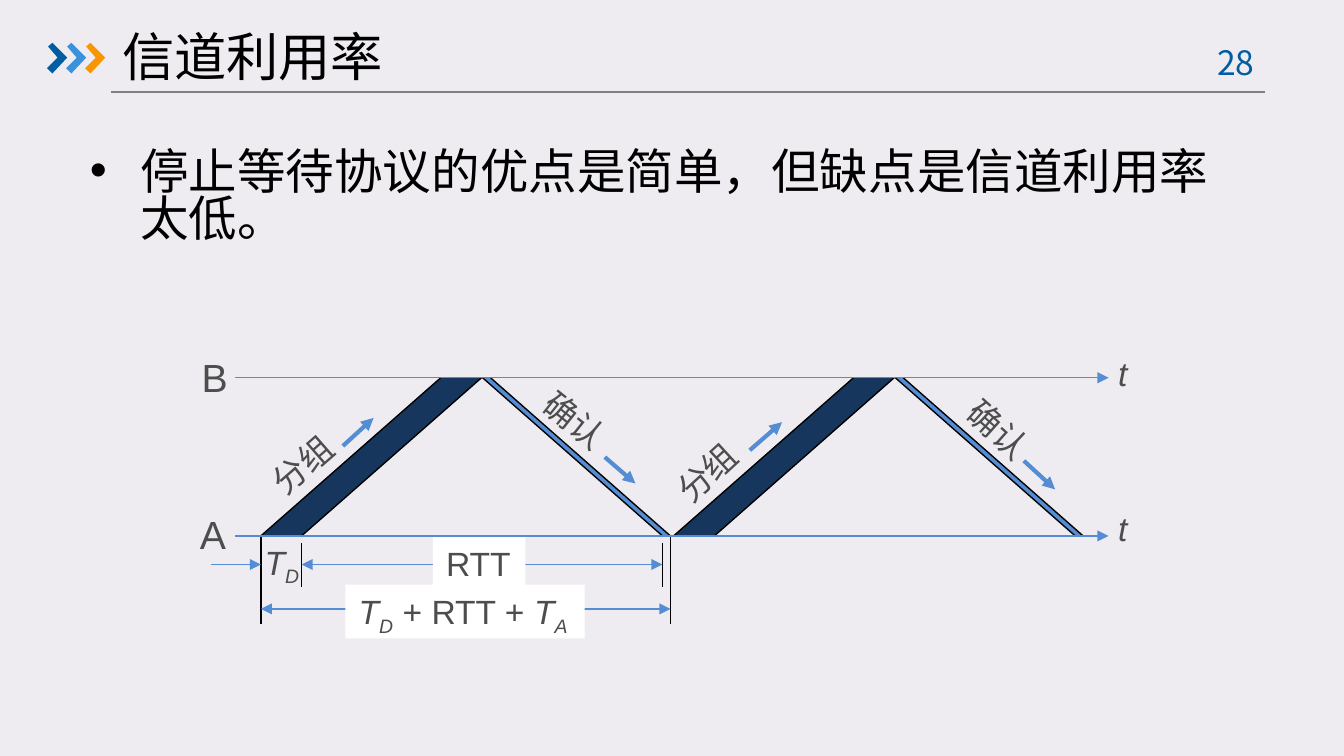
from lxml.etree import SubElement
from pptx import Presentation
from pptx.dml.color import RGBColor
from pptx.enum.shapes import MSO_CONNECTOR as Connector
from pptx.enum.text import MSO_ANCHOR as Anchor, PP_ALIGN as Align
from pptx.oxml.ns import qn
from pptx.util import Cm, Pt

BACKGROUND = RGBColor(0xEE, 0xEC, 0xF1)
WHITE = RGBColor(0xFF, 0xFF, 0xFF)
BLACK = RGBColor(0, 0, 0)
RULE = RGBColor(0x80, 0x80, 0x80)
LABEL = RGBColor(0x4D, 0x4D, 0x4D)
NAVY = RGBColor(0x17, 0x36, 0x5D)
BLUE = RGBColor(0x54, 0x8D, 0xD4)
DEEP_BLUE = RGBColor(0x00, 0x5D, 0xA2)
SKY_BLUE = RGBColor(0x39, 0x92, 0xDB)
ORANGE = RGBColor(0xF7, 0x96, 0x00)
CJK, LATIN = "Noto Sans CJK SC", "Arial"

TITLE = "信道利用率"
BODY = "停止等待协议的优点是简单，但缺点是信道利用率太低。"
PAGE_NUMBER = "28 "

# All lengths are in centimetres.
CHEVRON = [(0.02, 0.07), (0.1, 0), (0.38, 0.28), (0.1, 0.58), (0, 0.48), (0.2, 0.28)]
CHEVRON_COLOURS = [DEEP_BLUE, SKY_BLUE, ORANGE]

B_LINE, A_LINE = 7.14, 10.13
CYCLE_STARTS = [4.93, 12.73]
TRAVEL = 3.4
PACKET_WIDTH, ACK_WIDTH = 0.77, 0.15
ACK_OFFSET = 4.19
ACK_END = CYCLE_STARTS[0] + ACK_OFFSET + TRAVEL
CYCLE_END = ACK_END + ACK_WIDTH
PACKET_END = CYCLE_STARTS[0] + PACKET_WIDTH

# Marks after a piece of text: i = italic, s = subscript
T_D = [("T", "i"), ("D", "is")]
T_A = [("T", "i"), ("A", "is")]

# pieces, left, top, width, height, size, rotation, fill
LABELS = [
    (T_D, 4.75, 10.11, 1.22, 1.02, 18, 0, None),
    ([("RTT", "")], 8.18, 10.13, 1.75, 1.02, 18, 0, WHITE),
    (T_D + [(" + RTT + ", "")] + T_A, 6.53, 11.05, 4.52, 1.02, 18, 0, WHITE),
    ([("A", "")], 3.53, 9.53, 1.02, 1.14, 21, 0, None),
    ([("B", "")], 3.56, 6.55, 1.02, 1.14, 21, 0, None),
    ([("t", "i")], 20.88, 6.55, 0.69, 1.02, 18, 0, None),
    ([("t", "i")], 20.88, 9.47, 0.69, 1.02, 18, 0, None),
    ([("分组", "")], 4.83, 8.26, 1.8, 1.02, 18, 318.9, None),
    ([("分组", "")], 12.47, 8.41, 1.8, 1.02, 18, 317.4, None),
    ([("确认", "")], 9.98, 7.44, 1.8, 1.02, 18, 38.5, None),
    ([("确认", "")], 17.98, 7.62, 1.8, 1.02, 18, 41.8, None),
]
# x, top, bottom
TICKS = [
    (CYCLE_STARTS[0], A_LINE, 11.79),
    (PACKET_END, 10.26, 11.1),
    (ACK_END, 10.26, 11.1),
    (CYCLE_END, A_LINE, 11.79),
]
# left, right, y, arrowheads
DIMENSIONS = [
    (PACKET_END, ACK_END, 10.67, ("headEnd", "tailEnd")),
    (3.99, CYCLE_STARTS[0], 10.67, ("tailEnd",)),
    (CYCLE_STARTS[0], CYCLE_END, 11.51, ("headEnd", "tailEnd")),
]
DIRECTION_ARROWS = [
    (6.48, 8.43, 7.06, 7.9),
    (11.43, 8.64, 12.01, 9.14),
    (14.17, 8.51, 14.78, 7.98),
    (19.35, 8.71, 19.94, 9.25),
]


def add_line(page, x1, y1, x2, y2, colour, width=0.75, ends=()):
    line = page.shapes.add_connector(Connector.STRAIGHT, Cm(x1), Cm(y1), Cm(x2), Cm(y2))
    line.line.color.rgb = colour
    line.line.width = Pt(width)
    for end in ends:
        SubElement(line.line._get_or_add_ln(), qn("a:" + end), type="triangle")
    SubElement(line._element.spPr, qn("a:effectLst"))


def add_polygon(page, points, colour):
    corners = [(Cm(x), Cm(y)) for x, y in points]
    builder = page.shapes.build_freeform(*corners[0])
    builder.add_line_segments(corners[1:], close=True)
    polygon = builder.convert_to_shape()
    polygon.fill.solid()
    polygon.fill.fore_color.rgb = colour
    polygon.line.fill.background()
    polygon.shadow.inherit = False


def add_text(page, pieces, left, top, width, height, size, font, colour, wrap=True):
    box = page.shapes.add_textbox(Cm(left), Cm(top), Cm(width), Cm(height))
    box.text_frame.word_wrap = wrap
    para = box.text_frame.paragraphs[0]
    for text, marks in pieces:
        span = para.add_run()
        span.text = text
        span.font.size = Pt(size)
        span.font.name = font
        span.font.color.rgb = colour
        span.font.italic = "i" in marks
        properties = span.font._element
        SubElement(properties, qn("a:ea"), typeface=CJK)
        if "s" in marks:
            properties.set("baseline", "-25000")
    return box


def add_band(page, start, end, width, colour):
    """Draw a slanted band from (x, y) start to end, with its two black edges."""
    (x1, y1), (x2, y2) = start, end
    add_polygon(page, [(x1, y1), (x2, y2), (x2 + width, y2), (x1 + width, y1)], colour)
    for shift in (0, width):
        add_line(page, x1 + shift, y1, x2 + shift, y2, BLACK)


def add_heading(page):
    add_line(page, 2.1, 1.74, 23.9, 1.74, RULE)
    for index, colour in enumerate(CHEVRON_COLOURS):
        left = 0.89 + 0.36 * index
        add_polygon(page, [(left + x, 0.81 + y) for x, y in CHEVRON], colour)
    number = add_text(page, [(PAGE_NUMBER, "")], 22.5, 0.66, 1.85, 1.02, 18, CJK, DEEP_BLUE)
    number.text_frame.paragraphs[0].alignment = Align.CENTER
    title = add_text(page, [(TITLE, "")], 2.06, 0.41, 17.88, 1.3, 28, CJK, BLACK)
    title.text_frame.vertical_anchor = Anchor.MIDDLE


def add_body(page):
    body = add_text(page, [(BODY, "")], 1.45, 2.74, 22.28, 10.21, 26, CJK, BLACK)
    para = body.text_frame.paragraphs[0]
    para.line_spacing = 0.81
    para.space_before = Pt(5.2)
    properties = para._p.get_or_add_pPr()
    properties.set("marL", str(Cm(0.95)))
    properties.set("indent", str(-Cm(0.95)))
    SubElement(properties, qn("a:buFont"), typeface=LATIN)
    SubElement(properties, qn("a:buChar"), char="•")


def add_diagram(page):
    for x, top, bottom in TICKS:
        add_line(page, x, top, x, bottom, BLACK)
    for left, right, y, ends in DIMENSIONS:
        add_line(page, left, y, right, y, BLUE, ends=ends)
    for pieces, left, top, width, height, size, rotation, fill in LABELS:
        label = add_text(page, pieces, left, top, width, height, size, LATIN, LABEL, wrap=False)
        label.rotation = rotation
        if fill is not None:
            label.fill.solid()
            label.fill.fore_color.rgb = fill
    for x in CYCLE_STARTS:
        ack = x + ACK_OFFSET
        add_band(page, (ack, B_LINE), (ack + TRAVEL, A_LINE), ACK_WIDTH, BLUE)
        add_band(page, (x, A_LINE), (x + TRAVEL, B_LINE), PACKET_WIDTH, NAVY)
    for arrow in DIRECTION_ARROWS:
        add_line(page, *arrow, BLUE, width=2.25, ends=("tailEnd",))
    for y in (B_LINE, A_LINE):
        add_line(page, 4.45, y, 20.95, y, BLUE, ends=("tailEnd",))


def main():
    deck = Presentation()
    deck.slide_width, deck.slide_height = Cm(25.4), Cm(14.29)
    page = deck.slides.add_slide(deck.slide_layouts[6])
    page.background.fill.solid()
    page.background.fill.fore_color.rgb = BACKGROUND
    add_heading(page)
    add_body(page)
    add_diagram(page)
    deck.save("out.pptx")


if __name__ == "__main__":
    main()
